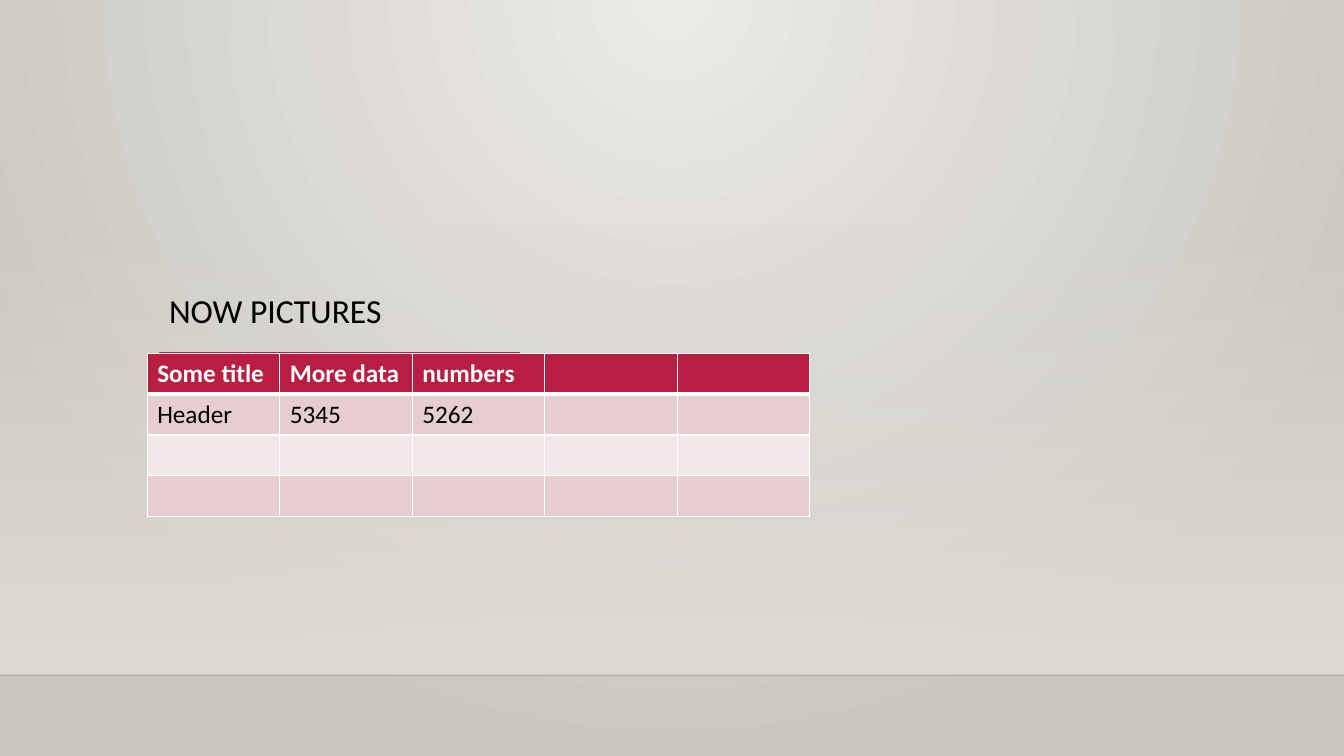
"""Build a slide with a short title and a banded table on a softly lit background."""
from lxml import etree
from pptx import Presentation
from pptx.dml.color import RGBColor
from pptx.enum.shapes import MSO_CONNECTOR, MSO_SHAPE
from pptx.enum.text import MSO_ANCHOR
from pptx.oxml.ns import qn
from pptx.util import Cm, Pt

RECTANGLE = MSO_SHAPE.RECTANGLE
STRAIGHT = MSO_CONNECTOR.STRAIGHT
BOTTOM = MSO_ANCHOR.BOTTOM

FONT = "Calibri"
TITLE = "NOW PICTURES"
ROWS = [
    ["Some title", "More data", "numbers", "", ""],
    ["Header", "5345", "5262", "", ""],
    ["", "", "", "", ""],
    ["", "", "", "", ""],
]
BLACK, WHITE, CRIMSON = "000000", "FFFFFF", "B71E42"
BANDS = ["F3E8E9", "E6CDCF"]
GLOW = ["ECEAE7", "CAC7C1"]
WALL = "DFDBD5"

WIDTH, HEIGHT = 33.87, 19.05
WALL_TOP, FLOOR = 5.61, 17.02
TITLE_LEFT, TITLE_TOP, TITLE_WIDTH, TITLE_HEIGHT = 4.01, 2.21, 9.09, 6.25
RULE_TOP = 8.92
TABLE_LEFT, TABLE_TOP = 3.71, 8.9
COLUMN_WIDTH, ROW_HEIGHT = 3.34, 1.03


def color(value):
    return RGBColor.from_string(value)


def add_child(parent, tag, **attributes):
    return etree.SubElement(parent, qn(tag), attributes)


def set_opacity(element, percent):
    add_child(element, "a:alpha", val=str(percent * 1000))


def set_gradient(fill, owner, stops):
    fill.gradient()
    for stop, value in zip(fill.gradient_stops, stops):
        stop.color.rgb = color(value)
    gradient = owner.find(".//" + qn("a:gradFill"))
    gradient.remove(gradient.find(qn("a:lin")))
    return gradient


def add_line(page, left, right, top, value, weight):
    line = page.shapes.add_connector(STRAIGHT, Cm(left), Cm(top), Cm(right), Cm(top))
    line.line.color.rgb = color(value)
    line.line.width = Pt(weight)
    add_child(line._element.spPr, "a:effectLst")
    return line


def add_text(para, text, size, value, bold=False):
    span = para.add_run()
    span.text = text
    span.font.name = FONT
    span.font.size = Pt(size)
    span.font.bold = bold
    span.font.color.rgb = color(value)


def add_background(page):
    glow = set_gradient(page.background.fill, page._element, GLOW)
    circle = add_child(glow, "a:path", path="circle")
    add_child(circle, "a:fillToRect", l="43000", t="0", r="43000", b="100000")

    wall = page.shapes.add_shape(
        RECTANGLE, 0, Cm(WALL_TOP), Cm(WIDTH), Cm(FLOOR - WALL_TOP))
    wall.shadow.inherit = False
    wall.line.fill.background()
    fade = set_gradient(wall.fill, wall._element, [WALL, WALL])
    add_child(fade, "a:lin", ang="5400000", scaled="0")
    set_opacity(fade.find(".//" + qn("a:srgbClr")), 0)

    edge = add_line(page, 0, WIDTH, FLOOR, BLACK, 1)
    set_opacity(edge._element.spPr.find(".//" + qn("a:srgbClr")), 20)


def add_title(page):
    add_line(page, TITLE_LEFT, TITLE_LEFT + TITLE_WIDTH, RULE_TOP, CRIMSON, 2.5)
    box = page.shapes.add_textbox(
        Cm(TITLE_LEFT), Cm(TITLE_TOP), Cm(TITLE_WIDTH), Cm(TITLE_HEIGHT))
    box.text_frame.word_wrap = True
    box.text_frame.vertical_anchor = BOTTOM
    para = box.text_frame.paragraphs[0]
    para.line_spacing = 0.9
    add_text(para, TITLE, 24, BLACK)


def set_borders(cell, weights):
    properties = cell._tc.get_or_add_tcPr()
    for index, (side, weight) in enumerate(zip("LRTB", weights)):
        border = etree.Element(qn("a:ln" + side), w=str(Pt(weight)))
        paint = add_child(border, "a:solidFill")
        add_child(paint, "a:srgbClr", val=WHITE)
        properties.insert(index, border)


def add_data_table(page):
    count = len(ROWS[0])
    table = page.shapes.add_table(
        len(ROWS), count, Cm(TABLE_LEFT), Cm(TABLE_TOP),
        Cm(COLUMN_WIDTH * count), Cm(ROW_HEIGHT * len(ROWS))).table
    for column in table.columns:
        column.width = Cm(COLUMN_WIDTH)
    for i, texts in enumerate(ROWS):
        table.rows[i].height = Cm(ROW_HEIGHT)
        heading = i == 0
        for j, text in enumerate(texts):
            cell = table.cell(i, j)
            cell.fill.solid()
            cell.fill.fore_color.rgb = color(CRIMSON if heading else BANDS[i % 2])
            set_borders(cell, [1, 1, 3 if i == 1 else 1, 3 if heading else 1])
            if text:
                add_text(cell.text_frame.paragraphs[0], text, 18,
                         WHITE if heading else BLACK, heading)


def main():
    deck = Presentation()
    deck.slide_width, deck.slide_height = Cm(WIDTH), Cm(HEIGHT)
    page = deck.slides.add_slide(deck.slide_layouts[6])
    add_background(page)
    add_title(page)
    add_data_table(page)
    deck.save("out.pptx")


if __name__ == "__main__":
    main()
